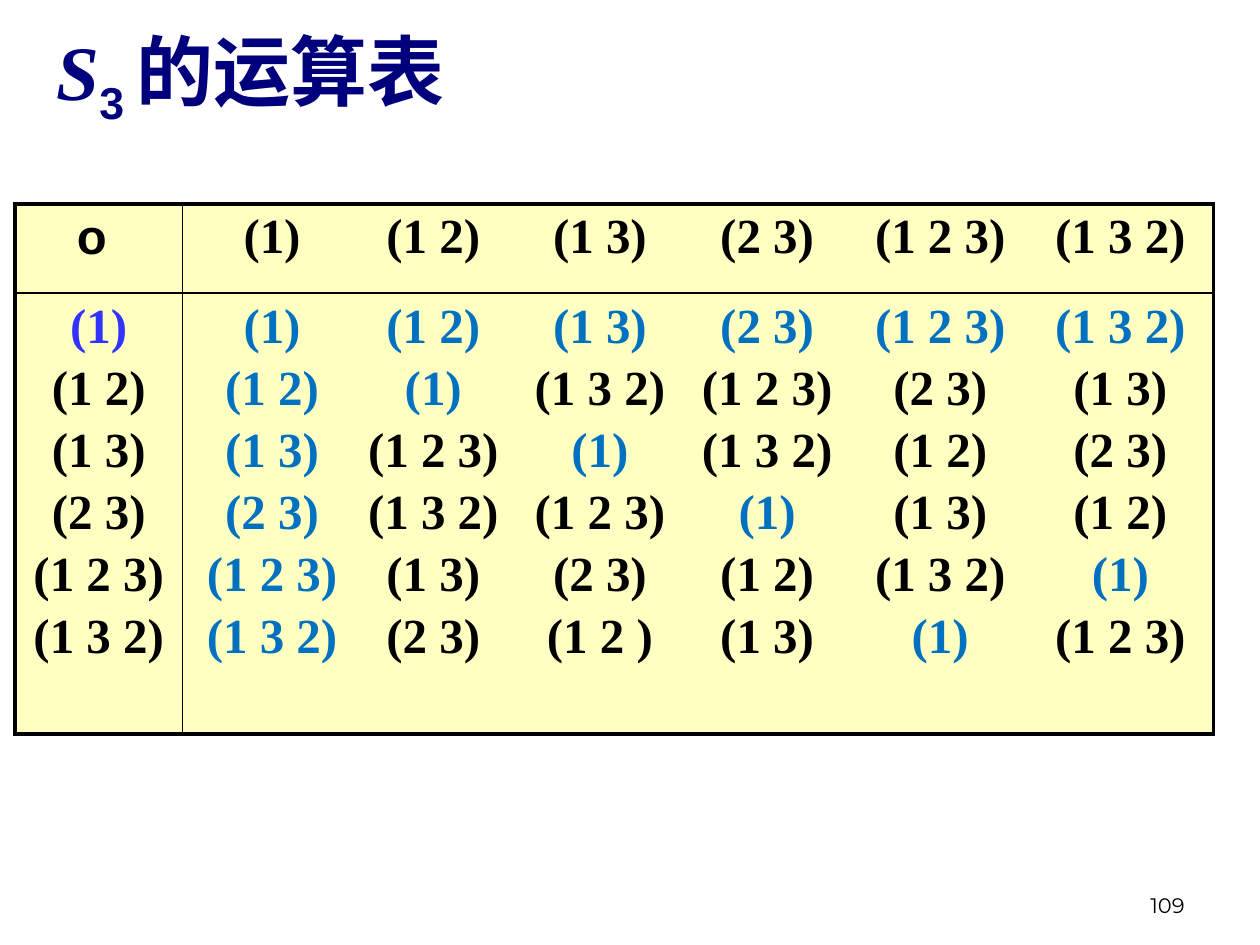
from lxml.etree import SubElement
from pptx import Presentation
from pptx.dml.color import RGBColor
from pptx.enum.text import MSO_ANCHOR, PP_ALIGN
from pptx.oxml.ns import qn
from pptx.util import Cm, Pt

THEME = {
    "title": "00007D", "text": "000000", "accent": "0070C0", "label": "3333FF",
    "cell": "FFFFC1", "line": "000000",
    "title_size": 44, "table_size": 28, "number_size": 12, "gap": 4.5,
    "thick": 2.25, "thin": 1,
    "sans": "Arial", "serif": "Times New Roman", "number_font": "Montserrat",
}

TITLE = [("S", THEME["serif"], True, 0), ("3 ", THEME["sans"], False, -25000),
         ("的运算表", THEME["sans"], False, 0)]
NUMBER = "109"
OPERATOR = "ο "
IDENTITY = "(1)"
ELEMENTS = [IDENTITY, "(1 2)", "(1 3)", "(2 3)", "(1 2 3)", "(1 3 2)"]
PRODUCTS = [
    ELEMENTS,
    ["(1 2)", "(1)", "(1 3 2)", "(1 2 3)", "(2 3)", "(1 3)"],
    ["(1 3)", "(1 2 3)", "(1)", "(1 3 2)", "(1 2)", "(2 3)"],
    ["(2 3)", "(1 3 2)", "(1 2 3)", "(1)", "(1 3)", "(1 2)"],
    ["(1 2 3)", "(1 3)", "(2 3)", "(1 2)", "(1 3 2)", "(1)"],
    ["(1 3 2)", "(2 3)", "(1 2 )", "(1 3)", "(1)", "(1 2 3)"],
]
TAB_CENTERS = [1.55, 4.8, 8.16, 11.53, 15.02, 18.65]
COL_WIDTHS = [3.38, 20.78]
ROW_HEIGHTS = [1.8, 8.89]


def style(r, font, size, color, bold=True):
    r.font.name = font
    r.font.size = Pt(size)
    r.font.bold = bold
    r.font.color.rgb = RGBColor.from_string(color)


def add_text(s, left, top, width, height, anchor):
    tf = s.shapes.add_textbox(Cm(left), Cm(top), Cm(width), Cm(height)).text_frame
    tf.word_wrap = True
    tf.vertical_anchor = anchor
    return tf


def add_tabs(p):
    tabs = SubElement(p._p.get_or_add_pPr(), qn("a:tabLst"))
    for center in TAB_CENTERS:
        SubElement(tabs, qn("a:tab"), pos=str(Cm(center)), algn="ctr")


def set_borders(cell, row, col):
    tcPr = cell._tc.get_or_add_tcPr()
    outer = {"L": col == 0, "R": col == 1, "T": row == 0, "B": row == 1}
    for side, is_outer in outer.items():
        width = Pt(THEME["thick"] if is_outer else THEME["thin"])
        ln = SubElement(tcPr, qn(f"a:ln{side}"), w=str(width))
        fill = SubElement(ln, qn("a:solidFill"))
        SubElement(fill, qn("a:srgbClr"), val=THEME["line"])


def fill_labels(tf, labels, font):
    tf.text = "\n".join(labels)
    for i, p in enumerate(tf.paragraphs):
        p.alignment = PP_ALIGN.CENTER
        p.space_before = Pt(THEME["gap"] if i else 0)
        color = THEME["label" if labels[i] == IDENTITY else "text"]
        style(p.runs[0], font, THEME["table_size"], color)


def fill_products(tf, rows, highlight):
    for i, row in enumerate(rows):
        p = tf.add_paragraph() if i else tf.paragraphs[0]
        p.space_before = Pt(THEME["gap"] if i else 0)
        add_tabs(p)
        for j, product in enumerate(row):
            r = p.add_run()
            r.text = "\t" + product
            blue = highlight and (i == 0 or j == 0 or product == IDENTITY)
            style(r, THEME["serif"], THEME["table_size"], THEME["accent" if blue else "text"])


def add_operation_table(s):
    table = s.shapes.add_table(2, 2, Cm(0.3), Cm(4.11), Cm(sum(COL_WIDTHS)),
                               Cm(sum(ROW_HEIGHTS))).table
    for col, width in zip(table.columns, COL_WIDTHS):
        col.width = Cm(width)
    for row, height in zip(table.rows, ROW_HEIGHTS):
        row.height = Cm(height)
    for i in range(2):
        for j in range(2):
            cell = table.cell(i, j)
            set_borders(cell, i, j)
            cell.fill.solid()
            cell.fill.fore_color.rgb = RGBColor.from_string(THEME["cell"])
    fill_labels(table.cell(0, 0).text_frame, [OPERATOR], THEME["sans"])
    fill_products(table.cell(0, 1).text_frame, [ELEMENTS], False)
    fill_labels(table.cell(1, 0).text_frame, ELEMENTS, THEME["serif"])
    fill_products(table.cell(1, 1).text_frame, PRODUCTS, True)


def main():
    prs = Presentation()
    prs.slide_width, prs.slide_height = Cm(25.4), Cm(19.05)
    s = prs.slides.add_slide(prs.slide_layouts[6])

    p = add_text(s, 0.89, 0, 22.23, 3.05, MSO_ANCHOR.MIDDLE).paragraphs[0]
    for text, font, italic, baseline in TITLE:
        r = p.add_run()
        r.text = text
        style(r, font, THEME["title_size"], THEME["title"])
        r.font.italic = italic
        if baseline:
            r.font._element.set("baseline", str(baseline))

    add_operation_table(s)

    p = add_text(s, 18.21, 17.35, 5.92, 1.27, MSO_ANCHOR.BOTTOM).paragraphs[0]
    p.text = NUMBER
    p.alignment = PP_ALIGN.RIGHT
    style(p.runs[0], THEME["number_font"], THEME["number_size"], THEME["text"], False)

    prs.save("out.pptx")


if __name__ == "__main__":
    main()
